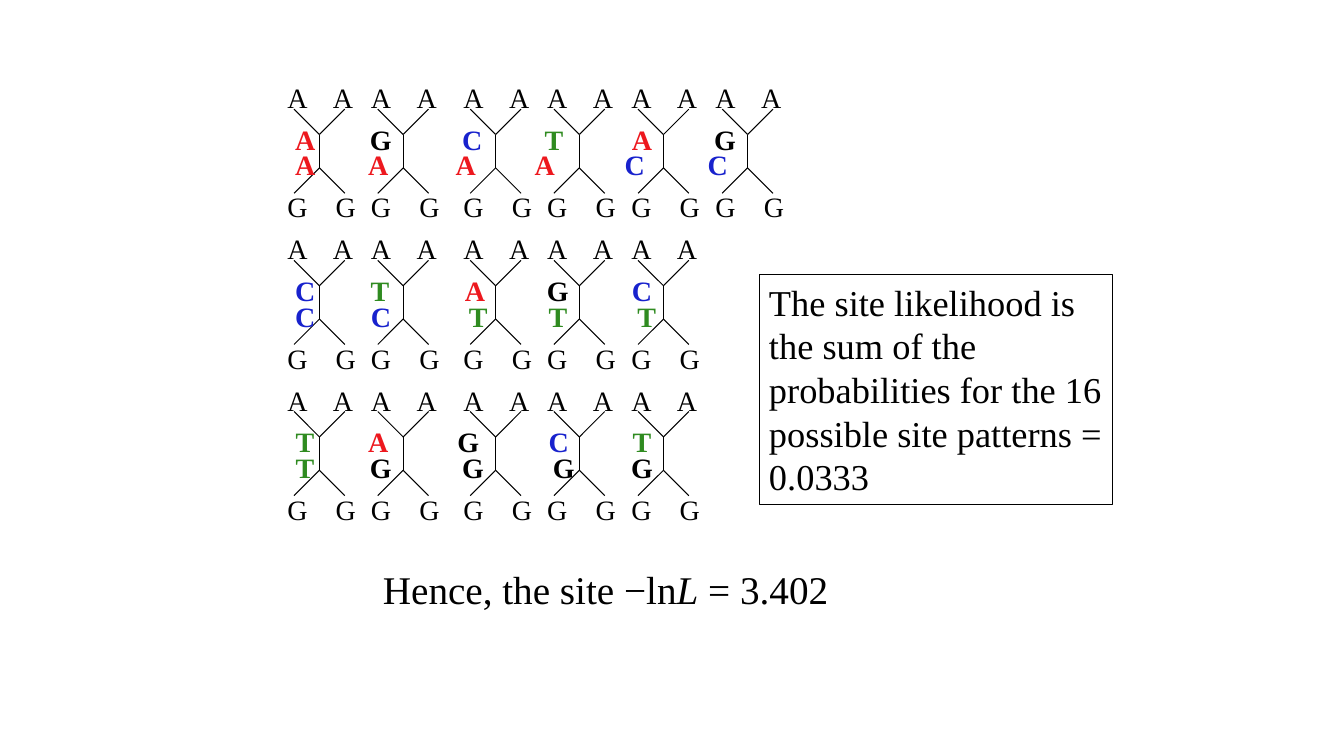
from pptx import Presentation
from pptx.dml.color import RGBColor
from pptx.enum.shapes import MSO_CONNECTOR, MSO_SHAPE
from pptx.enum.text import MSO_ANCHOR, PP_ALIGN
from pptx.oxml.ns import qn
from pptx.util import Cm, Pt
from lxml import etree

LINE, RECT = MSO_CONNECTOR.STRAIGHT, MSO_SHAPE.RECTANGLE
TOP, LEFT = MSO_ANCHOR.TOP, PP_ALIGN.LEFT
FONT, BLACK = "Times New Roman", "000000"
BASES = {"A": "ED181E", "C": "1822CD", "G": BLACK, "T": "2F8B20"}

# Stem centre of each tree, and distance from one row of trees to the next
STEMS = [8.05, 10.16, 12.49, 14.6, 16.72, 18.84]
ROW = 3.81
INSET, START = 0.25, 7.19

# Branches of one tree, measured from the centre of its stem
BRANCHES = [
    (0, -0.42, 0, 0.42),
    (0, -0.42, 0.64, -1.06),
    (-0.64, -1.06, 0, -0.42),
    (-0.64, 1.06, 0, 0.42),
    (0, 0.42, 0.64, 1.06),
]
# Pairs of tips: text, top from the stem centre, tab to the second letter
TIPS = [("A\tA", -1.9, 1.15), ("G\tG", 0.85, 1.22)]

# Inner nodes of each row: upper and lower bases, and their x from the stem
UPPER, LOWER = -0.85, -0.21
NODES = [
    [("AGCTAG", UPPER, [-0.36, -0.56, -0.59, -0.64, -0.54, -0.57]),
     ("AAAACC", LOWER, [-0.36, -0.63, -0.75, -0.87, -0.72, -0.75])],
    [("CTAGC", UPPER, [-0.36, -0.58, -0.52, -0.54, -0.54]),
     ("CCTTT", LOWER, [-0.36, -0.56, -0.44, -0.54, -0.42])],
    [("TAGCT", UPPER, [-0.36, -0.63, -0.69, -0.52, -0.54]),
     ("TGGGG", LOWER, [-0.36, -0.56, -0.57, -0.39, -0.54])],
]

prs = Presentation()
prs.slide_width, prs.slide_height = Cm(33.87), Cm(19.05)
slide = prs.slides.add_slide(prs.slide_layouts[6])
shapes = slide.shapes


def rgb(code):
    return RGBColor.from_string(code)


def write(shape, *parts, size=20, bold=False, tabs=(), stop="l"):
    """Fill a shape with one paragraph of (text, color, italic) parts."""
    frame = shape.text_frame
    frame.word_wrap = True
    frame.vertical_anchor = TOP
    frame.margin_left = frame.margin_right = Cm(INSET)
    para = frame.paragraphs[0]
    para.alignment = LEFT
    if tabs:
        stops = etree.SubElement(para._p.get_or_add_pPr(), qn("a:tabLst"))
        for tab in tabs:
            etree.SubElement(stops, qn("a:tab"), pos=str(int(Cm(tab))), algn=stop)
    for text, color, italic in parts:
        run = para.add_run()
        run.text = text
        run.font.name = FONT
        run.font.size = Pt(size)
        run.font.bold = bold
        run.font.italic = italic
        run.font.color.rgb = rgb(color)


for row, nodes in enumerate(NODES):
    mid = ROW * (row + 1)
    count = len(nodes[0][0])
    for stem in STEMS[:count]:
        for x1, y1, x2, y2 in BRANCHES:
            branch = shapes.add_connector(
                LINE, Cm(stem + x1), Cm(mid + y1), Cm(stem + x2), Cm(mid + y2))
            branch.line.color.rgb = rgb(BLACK)
            branch.line.width = Pt(0.75)
            etree.SubElement(branch.element.spPr, qn("a:effectLst"))
        for pair, top, tab in TIPS:
            box = shapes.add_textbox(Cm(stem - 1.06), Cm(mid + top), Cm(3.6), Cm(1.09))
            write(box, (pair, BLACK, False), tabs=[tab])

    for bases, top, shifts in nodes:
        box = shapes.add_textbox(Cm(START), Cm(mid + top), Cm(13.1), Cm(1.09))
        tabs = [stem + x - START - INSET for stem, x in zip(STEMS, shifts)]
        parts = [("\t" + base, BASES[base], False) for base in bases]
        write(box, *parts, bold=True, tabs=tabs, stop="ctr")

note = shapes.add_shape(RECT, Cm(19.13), Cm(6.93), Cm(8.92), Cm(5.79))
note.shadow.inherit = False
note.fill.background()
note.line.color.rgb = rgb(BLACK)
note.line.width = Pt(0.75)
write(note, ("The site likelihood is the sum of the probabilities "
             "for the 16 possible site patterns = 0.0333", BLACK, False), size=26)

total = shapes.add_textbox(Cm(9.4), Cm(14.12), Cm(11.86), Cm(1.45))
write(total, ("Hence, the site −ln", BLACK, False), ("L", BLACK, True),
      (" = 3.402", BLACK, False), size=28)

prs.save("out.pptx")
